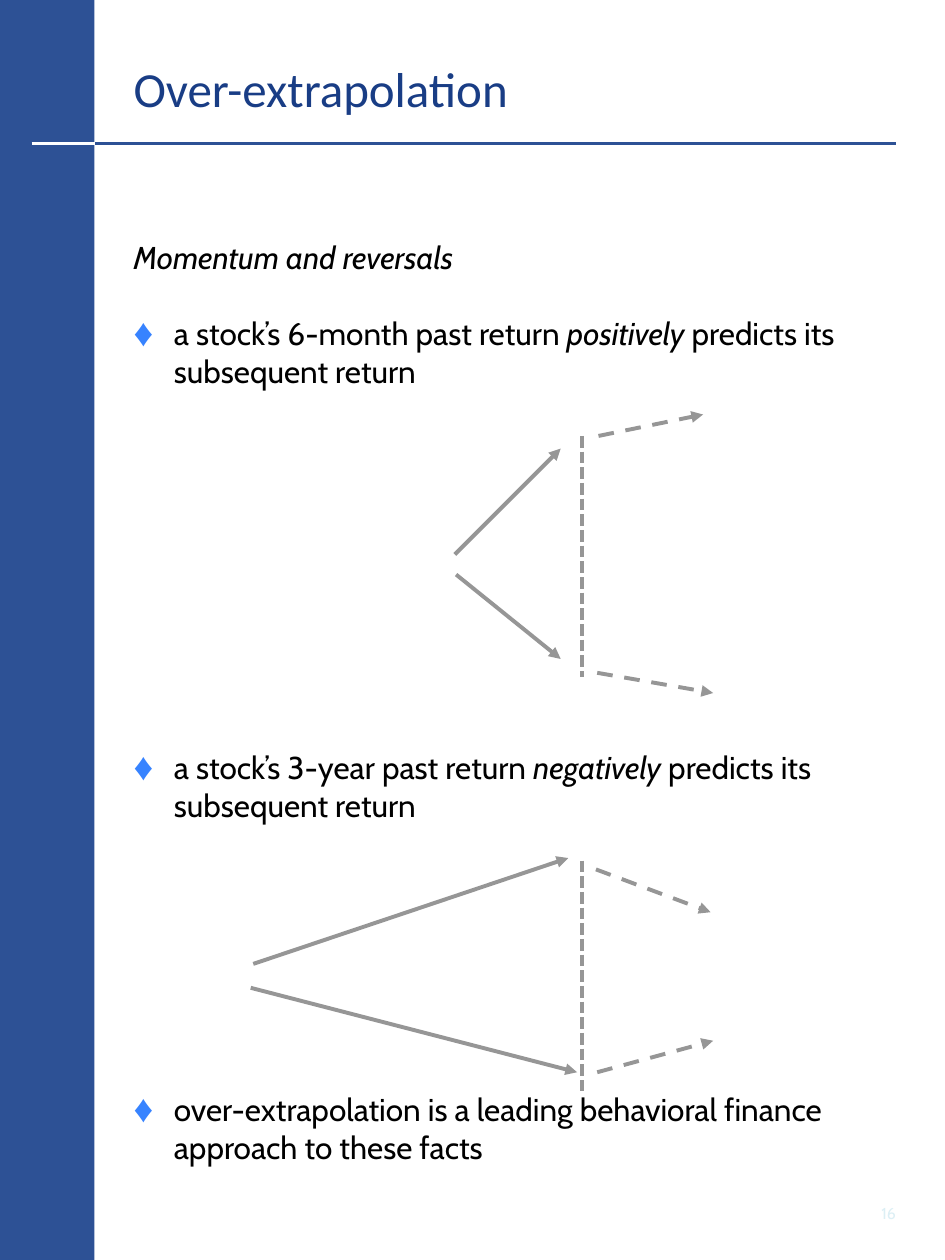
from dataclasses import dataclass

from pptx import Presentation
from pptx.dml.color import RGBColor
from pptx.enum import dml, shapes, text
from pptx.oxml.ns import qn
from pptx.util import Inches, Pt
from lxml import etree


@dataclass(frozen=True)
class Theme:
    band: str = "2D5195"
    title: str = "193D85"
    body: str = "000000"
    bullet: str = "3783FF"
    arrow: str = "969696"
    number: str = "DCEFF5"
    paper: str = "FFFFFF"
    title_font: str = "Calibri"
    body_font: str = "Cabin"
    title_size: float = 28
    body_size: float = 18
    number_size: float = 9
    rule_width: float = 2
    arrow_width: float = 2.25


THEME = Theme()
DASH = dml.MSO_LINE.DASH
DOTS = dml.MSO_LINE.SQUARE_DOT

# Each bullet: space before in points, then (wording, italic) runs.
BULLETS = [
    (22, [("a stock’s 6-month past return ", False), ("positively", True),
          (" predicts its subsequent return", False)]),
    (204.5, [("a stock’s 3-year past return ", False), ("negatively", True),
             (" predicts its subsequent return", False)]),
    (152.5, [("over-extrapolation is a leading behavioral finance "
              "approach to these facts", False)]),
]

DIVIDERS = [((4.62, 3.46), (4.62, 5.37)), ((4.62, 6.83), (4.62, 8.66))]
PAST_RETURNS = [
    ((3.61, 4.4), (4.45, 3.56)), ((3.62, 4.56), (4.45, 5.23)),
    ((2.01, 7.65), (4.51, 6.81)), ((1.99, 7.84), (4.58, 8.51)),
]
LATER_RETURNS = [
    ((4.75, 3.46), (5.58, 3.29)), ((4.74, 5.34), (5.66, 5.5)),
    ((4.73, 6.9), (5.64, 7.24)), ((4.74, 8.51), (5.66, 8.26)),
]


def colour(code):
    return RGBColor.from_string(code)


def place(box, left, top, width, height):
    box.left, box.top = Inches(left), Inches(top)
    box.width, box.height = Inches(width), Inches(height)


def prepare_frame(box, anchor):
    frame = box.text_frame
    frame.word_wrap = True
    frame.auto_size = text.MSO_AUTO_SIZE.NONE
    frame.vertical_anchor = anchor
    frame.margin_left = frame.margin_right = 0
    frame.margin_top = frame.margin_bottom = 0
    return frame


def add_span(para, wording, font, size, code, italic=False):
    span = para.add_run()
    span.text = wording
    span.font.name = font
    span.font.size = Pt(size)
    span.font.color.rgb = colour(code)
    span.font.italic = italic


def set_bullet(para, symbol=None):
    """Give the paragraph a hanging indent, with a diamond or no bullet."""
    props = para._p.get_or_add_pPr()
    props.set("marL", str(Inches(0.32)))
    props.set("indent", str(-Inches(0.32)))
    if symbol is None:
        etree.SubElement(props, qn("a:buNone"))
        return
    tint = etree.SubElement(props, qn("a:buClr"))
    etree.SubElement(tint, qn("a:srgbClr"), val=THEME.bullet)
    etree.SubElement(props, qn("a:buSzPct"), val="123000")
    etree.SubElement(props, qn("a:buChar"), char=symbol)


def add_line(page, start, end, code, width, dash=None, arrow=False):
    line = page.shapes.add_connector(
        shapes.MSO_CONNECTOR.STRAIGHT, *map(Inches, start + end))
    line.line.color.rgb = colour(code)
    line.line.width = Pt(width)
    if dash is not None:
        line.line.dash_style = dash
    if arrow:
        etree.SubElement(line.line._get_or_add_ln(), qn("a:tailEnd"), type="triangle")
    etree.SubElement(line._element.spPr, qn("a:effectLst"))


def add_band(page):
    band = page.shapes.add_shape(
        shapes.MSO_SHAPE.RECTANGLE, 0, 0, Inches(0.75), Inches(10))
    band.shadow.inherit = False
    band.fill.solid()
    band.fill.fore_color.rgb = colour(THEME.band)
    band.line.fill.background()
    add_line(page, (0.75, 1.14), (7.11, 1.14), THEME.band, THEME.rule_width)
    add_line(page, (0.25, 1.14), (0.75, 1.14), THEME.paper, THEME.rule_width)


def fill_title(page):
    box = page.shapes.title
    place(box, 1.06, 0.37, 6.06, 0.65)
    para = prepare_frame(box, text.MSO_ANCHOR.MIDDLE).paragraphs[0]
    para.alignment = text.PP_ALIGN.LEFT
    add_span(para, "Over-extrapolation", THEME.title_font, THEME.title_size, THEME.title)


def fill_body(page):
    box = page.placeholders[1]
    place(box, 1.06, 1.89, 6.06, 7.5)
    frame = prepare_frame(box, text.MSO_ANCHOR.TOP)
    heading = frame.paragraphs[0]
    set_bullet(heading)
    heading.space_before = Pt(0)
    add_span(heading, "Momentum and reversals", THEME.body_font,
             THEME.body_size, THEME.body, italic=True)
    for gap, spans in BULLETS:
        para = frame.add_paragraph()
        set_bullet(para, "♦")
        para.space_before = Pt(gap)
        for wording, italic in spans:
            add_span(para, wording, THEME.body_font, THEME.body_size, THEME.body, italic)


def add_page_number(page):
    box = page.shapes.add_textbox(Inches(6.61), Inches(9.5), Inches(0.5), Inches(0.25))
    para = prepare_frame(box, text.MSO_ANCHOR.MIDDLE).paragraphs[0]
    para.alignment = text.PP_ALIGN.RIGHT
    add_span(para, "16", THEME.body_font, THEME.number_size, THEME.number)


def add_diagrams(page):
    for ends, dash, arrow in ((DIVIDERS, DOTS, False),
                              (PAST_RETURNS, None, True),
                              (LATER_RETURNS, DASH, True)):
        for start, end in ends:
            add_line(page, start, end, THEME.arrow, THEME.arrow_width, dash, arrow)


def main():
    deck = Presentation()
    deck.slide_width, deck.slide_height = Inches(7.5), Inches(10)
    page = deck.slides.add_slide(deck.slide_layouts[1])
    add_band(page)
    fill_title(page)
    fill_body(page)
    add_diagrams(page)
    add_page_number(page)
    deck.save("out.pptx")


if __name__ == "__main__":
    main()
